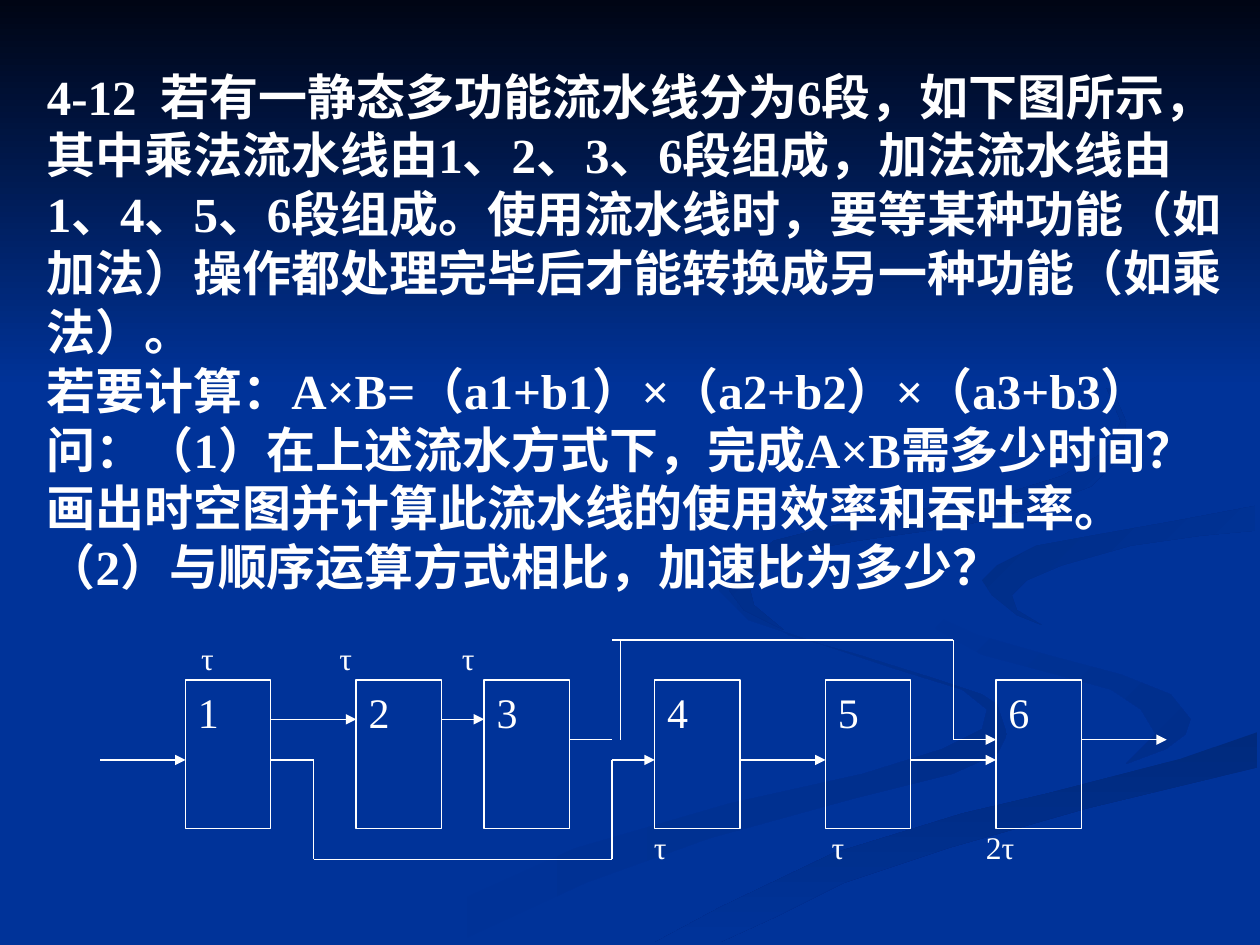
from lxml import etree
from pptx import Presentation
from pptx import util as u
from pptx.dml.color import RGBColor
from pptx.enum import shapes, text
from pptx.oxml.ns import qn

COLORS = {"bg": "003399", "night": "000514", "ink": "FFFFFF",
          "wave": "002E8B", "band": "002A7D", "curl": "002D86", "ribbon": "002B82"}
FONT = "Times New Roman"

PROBLEM = [
    "4-12  若有一静态多功能流水线分为6段，如下图所示，其中乘法流水线由1、2、3、6段组成，"
    "加法流水线由1、4、5、6段组成。使用流水线时，要等某种功能（如加法）操作都处理完毕后"
    "才能转换成另一种功能（如乘法）。",
    "若要计算：A×B=（a1+b1）×（a2+b2）×（a3+b3）",
    "问：（1）在上述流水方式下，完成A×B需多少时间？画出时空图并计算此流水线的使用效率和吞吐率。",
    "（2）与顺序运算方式相比，加速比为多少？",
]
PLAIN_PARAGRAPH = {"marL": "0", "indent": "0", "hangingPunct": "0"}

SWOOSHES = [
    ("bg", "wave", 0, [
        (19.8, 14), (18.9, 13.7), (17.3, 13.2), (15.9, 12.8), (14.9, 12.2), (14.6, 11.7),
        (14.5, 11.9), (15.1, 12.5), (16.6, 13), (18.1, 13.5), (19.4, 13.9), (19.9, 14.3),
        (19.8, 14.7), (19, 15.1), (17.4, 15.6), (14.7, 16.2), (11.6, 17.1), (9.6, 18),
        (7.6, 19), (9.2, 19), (11.8, 17.8), (14.3, 16.9), (17.2, 16.1), (19.2, 15.6),
        (20.1, 15.2), (20.3, 14.8), (20.1, 14.2)]),
    ("bg", "wave", 45, [
        (24, 14.5), (23.6, 14), (22.6, 13.6), (21.1, 13.2), (19.7, 12.8), (18.6, 12.3),
        (18.4, 11.8), (18.5, 12.2), (18.9, 12.7), (19.8, 13.2), (21.3, 13.6), (22.4, 13.9),
        (23, 14.3), (23.3, 14.8), (22.7, 15.4), (23.5, 15.1), (23.9, 14.8)]),
    ("band", "bg", 90, [
        (12.8, 19), (14.5, 19), (15.6, 18.5), (17, 17.8), (19.1, 17.1), (21.9, 16.3),
        (25.35, 15.47), (25.35, 14.76), (23.8, 15.3), (21.1, 16), (19.4, 16.4), (16.8, 17.2),
        (14.5, 18.3), (13.2, 19)]),
    ("curl", "bg", 45, [
        (19.8, 11.7), (20, 12), (20.5, 12.4), (21, 12.6), (20.5, 12.3), (20.4, 12),
        (20.7, 11.7), (21.4, 11.4), (22.8, 11), (24.2, 10.8), (25.3, 10.7), (25.3, 10.2),
        (23.7, 10.5), (22, 10.8), (20.9, 11), (20.1, 11.4)]),
    ("ribbon", "bg", 45, [
        (17.3, 10.9), (19.4, 10.6), (21, 10.2), (22, 9.8), (22.6, 9.2), (22.7, 8.5),
        (22.4, 7.8), (21.7, 7.2), (20.9, 6.6), (19.4, 5.9), (20.4, 6.5), (21.5, 7.1),
        (22.3, 7.8), (22.6, 8.5), (22.3, 9.1), (21.4, 9.6), (20.1, 10), (17.2, 10.5),
        (15.6, 10.9), (14.8, 11.5), (14.7, 11.9), (15, 12.3), (15.8, 12.7), (15.2, 12.2),
        (15.1, 11.8), (15.4, 11.4), (16.2, 11.1)]),
    ("night", "bg", 90, [(0, 0), (25.4, 0), (25.4, 7.82), (0, 7.82)]),
]

GRID_LEFT, COL = 3.74, 0.86
ROWS = {"over": 12.9, "upper": 14.5, "mid": 14.91, "lower": 15.32, "under": 17.32}
STAGE_COLS = [0, 4, 7, 11, 15, 19]
STAGE_TOP, STAGE_H, STAGE_SPAN = 13.71, 3.0, 2

ROUTES = [
    (True, [(-2, "lower"), (0, "lower")]),
    (True, [(2, "upper"), (4, "upper")]),
    (True, [(6, "upper"), (7, "upper")]),
    (True, [(13, "lower"), (15, "lower")]),
    (True, [(17, "lower"), (19, "lower")]),
    (True, [(21, "mid"), (23, "mid")]),
    (True, [(2, "lower"), (3, "lower"), (3, "under"), (10, "under"), (10, "lower"), (11, "lower")]),
    (False, [(9, "mid"), (10, "mid")]),
    (False, [(10.2, "mid"), (10.2, "over")]),
    (True, [(10, "over"), (18, "over"), (18, "mid"), (19, "mid")]),
]

DELAYS = [("τ", 4.18, 13.27), ("τ", 6.97, 13.27), ("τ", 9.44, 13.27),
          ("τ", 13.31, 17.08), ("τ", 16.89, 17.08), ("2τ", 20.16, 17.08)]


def rgb(name):
    return RGBColor.from_string(COLORS[name])


def apply(obj, values):
    for key, value in values.items():
        setattr(obj, key, value)


def write(sp, lines, size, bold, align, frame):
    tf = sp.text_frame
    apply(tf, {"word_wrap": True, "auto_size": text.MSO_AUTO_SIZE.NONE, **frame})
    for i, line in enumerate(lines):
        p = tf.add_paragraph() if i else tf.paragraphs[0]
        apply(p, {"alignment": align, "space_before": u.Pt(0)})
        r = p.add_run()
        r.text = line
        apply(r.font, {"name": FONT, "size": u.Pt(size), "bold": bold})
        r.font.color.rgb = rgb("ink")
    return tf


def swoosh(s, start, end, angle, points):
    pts = [(u.Cm(x), u.Cm(y)) for x, y in points]
    fb = s.shapes.build_freeform(*pts[0])
    fb.add_line_segments(pts[1:], close=True)
    sp = fb.convert_to_shape()
    sp.shadow.inherit = False
    sp.line.fill.background()
    sp.fill.gradient()
    sp.fill.gradient_angle = -angle % 360
    for stop, name in zip(sp.fill.gradient_stops, (start, end)):
        stop.color.rgb = rgb(name)


def col_x(col):
    return u.Cm(GRID_LEFT + col * COL)


def stage(s, number, col):
    sp = s.shapes.add_shape(shapes.MSO_SHAPE.RECTANGLE, col_x(col), u.Cm(STAGE_TOP),
                            u.Cm(STAGE_SPAN * COL), u.Cm(STAGE_H))
    sp.shadow.inherit = False
    sp.fill.background()
    sp.line.color.rgb = rgb("ink")
    sp.line.width = u.Pt(0.75)
    write(sp, [str(number)], 24, False, text.PP_ALIGN.LEFT,
          {"vertical_anchor": text.MSO_ANCHOR.TOP})


def route(s, arrow, stops):
    pts = [(col_x(col), u.Cm(ROWS[row])) for col, row in stops]
    for start, end in zip(pts, pts[1:]):
        cx = s.shapes.add_connector(shapes.MSO_CONNECTOR.STRAIGHT, *start, *end)
        cx.line.color.rgb = rgb("ink")
        cx.line.width = u.Pt(0.75)
        etree.SubElement(cx._element.spPr, qn("a:effectLst"))
    if arrow:
        etree.SubElement(cx.line._get_or_add_ln(), qn("a:tailEnd"), type="triangle")


def delay(s, label, x, y):
    w, h = 1.5, 0.8
    sp = s.shapes.add_textbox(u.Cm(x - w / 2), u.Cm(y - h / 2), u.Cm(w), u.Cm(h))
    write(sp, [label], 18, False, text.PP_ALIGN.CENTER,
          {"vertical_anchor": text.MSO_ANCHOR.MIDDLE, "margin_left": 0, "margin_right": 0,
           "margin_top": 0, "margin_bottom": 0})


def main():
    prs = Presentation()
    apply(prs, {"slide_width": u.Cm(25.4), "slide_height": u.Cm(19.05)})
    s = prs.slides.add_slide(prs.slide_layouts[1])
    s.background.fill.solid()
    s.background.fill.fore_color.rgb = rgb("bg")

    title, body = s.placeholders
    title._element.getparent().remove(title._element)
    for item in SWOOSHES:
        swoosh(s, *item)

    s.shapes._spTree.append(body._element)
    apply(body, {"left": u.Cm(0.69), "top": u.Cm(0.61),
                 "width": u.Cm(24.21), "height": u.Cm(12.12)})
    tf = write(body, PROBLEM, 28, True, text.PP_ALIGN.LEFT,
               {"vertical_anchor": text.MSO_ANCHOR.MIDDLE})
    for p in tf.paragraphs:
        pPr = p._p.get_or_add_pPr()
        for key, value in PLAIN_PARAGRAPH.items():
            pPr.set(key, value)
        etree.SubElement(pPr, qn("a:buNone"))

    for number, col in enumerate(STAGE_COLS, 1):
        stage(s, number, col)
    for item in ROUTES:
        route(s, *item)
    for item in DELAYS:
        delay(s, *item)
    prs.save("out.pptx")


if __name__ == "__main__":
    main()
